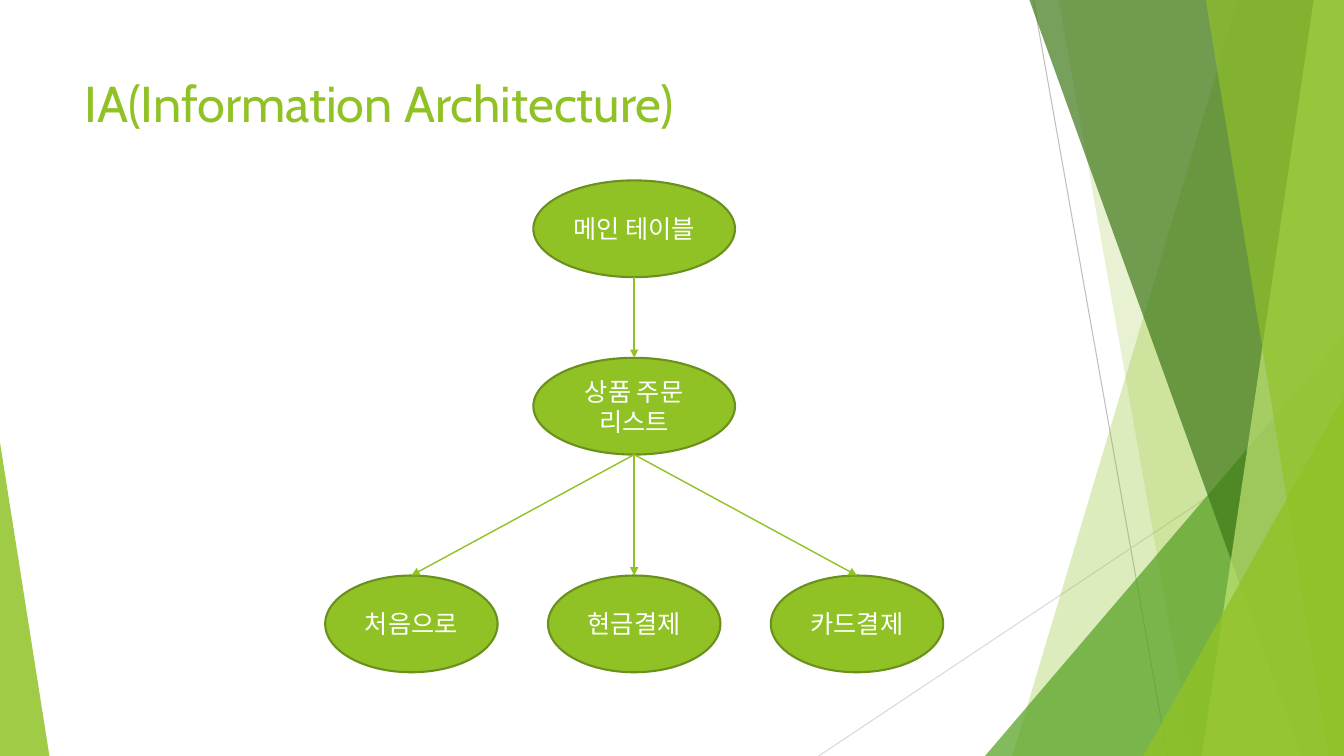
from dataclasses import dataclass

from lxml.etree import SubElement as Sub
from pptx import Presentation
from pptx.dml.color import RGBColor as Rgb
from pptx.enum.shapes import MSO_CONNECTOR as Conn, MSO_SHAPE as Kind
from pptx.enum.text import MSO_ANCHOR as Anchor, PP_ALIGN as Align
from pptx.oxml.ns import qn
from pptx.shapes.autoshape import Shape
from pptx.shapes.connector import Connector
from pptx.slide import Slide
from pptx.text.text import TextFrame
from pptx.util import Inches, Pt

WIDE, HIGH = 13.33, 7.5
FONT = "Cabin"
GREEN, DARK, WHITE = "90C226", "6B901C", "FFFFFF"
MID, TALL = 6.29, 0.96


@dataclass
class Ray:
    start: tuple[float, float]
    end: tuple[float, float]
    tint: str


@dataclass
class Band:
    top: float
    foot: float
    tint: str
    alpha: int


@dataclass
class Wedge:
    left: float
    top: float
    width: float
    peak: int
    tint: str
    alpha: int


@dataclass
class Node:
    name: str
    text: str
    mid: float
    top: float
    width: float
    above: str = ""


RAYS = [
    Ray((10.25, 0), (11.58, HIGH), "BFBFBF"),
    Ray((WIDE, 4.03), (8.12, HIGH), "D9D9D9"),
]
DECOR = [
    Band(12.28, 10.04, GREEN, 30),
    Band(10.5, 11.83, GREEN, 20),
    Wedge(9.77, 3.33, 3.56, 1, "54A021", 72),
    Band(10.21, 12.91, "3F7819", 70),
    Band(13.03, 11.92, "C0E474", 70),
    Band(11.96, 13.18, GREEN, 65),
    Wedge(11.34, 3.93, 1.99, 1, GREEN, 80),
    Wedge(0, 4.39, 0.49, 0, GREEN, 85),
]
STEP = 2.21
NODES = [
    Node("main", "메인 테이블", MID, 1.79, 2),
    Node("list", "상품 주문 리스트", MID, 3.55, 2, "main"),
    Node("home", "처음으로", MID - STEP, 5.71, 1.71, "list"),
    Node("cash", "현금결제", MID, 5.71, 1.71, "list"),
    Node("card", "카드결제", MID + STEP, 5.71, 1.71, "list"),
]


def color(tint: str) -> Rgb:
    return Rgb.from_string(tint)


def paint(shape: Shape, tint: str, alpha: int = 100) -> None:
    shape.shadow.inherit = False
    shape.fill.solid()
    shape.fill.fore_color.rgb = color(tint)
    shape.line.fill.background()
    if alpha < 100:
        fill = shape.fill._xPr.find(qn("a:solidFill"))
        Sub(fill[0], qn("a:alpha"), val=str(alpha * 1000))


def write(frame: TextFrame, text: str, size: int, tint: str, align: Align) -> None:
    frame.word_wrap = True
    para = frame.paragraphs[0]
    para.alignment = align
    run = para.add_run()
    run.text = text
    run.font.size = Pt(size)
    run.font.name = FONT
    run.font.color.rgb = color(tint)


def draw_line(slide: Slide, ray: Ray, width: float) -> Connector:
    ends = [Inches(n) for n in ray.start + ray.end]
    line = slide.shapes.add_connector(Conn.STRAIGHT, *ends)
    line.line.color.rgb = color(ray.tint)
    line.line.width = Pt(width)
    Sub(line._element.spPr, qn("a:effectLst"))
    return line


def draw_band(slide: Slide, band: Band) -> None:
    pen = slide.shapes.build_freeform(Inches(band.top), 0)
    rest = [(WIDE, 0), (WIDE, HIGH), (band.foot, HIGH)]
    pen.add_line_segments([(Inches(x), Inches(y)) for x, y in rest])
    paint(pen.convert_to_shape(), band.tint, band.alpha)


def draw_wedge(slide: Slide, wedge: Wedge) -> None:
    box = (wedge.left, wedge.top, wedge.width, HIGH - wedge.top)
    shape = slide.shapes.add_shape(Kind.ISOSCELES_TRIANGLE, *map(Inches, box))
    shape.adjustments[0] = wedge.peak
    paint(shape, wedge.tint, wedge.alpha)


def draw_node(slide: Slide, node: Node) -> Shape:
    box = (node.mid - node.width / 2, node.top, node.width, TALL)
    shape = slide.shapes.add_shape(Kind.OVAL, *map(Inches, box))
    paint(shape, GREEN)
    shape.line.color.rgb = color(DARK)
    shape.line.width = Pt(1.5)
    shape.text_frame.vertical_anchor = Anchor.MIDDLE
    write(shape.text_frame, node.text, 18, WHITE, Align.CENTER)
    return shape


def link(slide: Slide, above: Shape, below: Shape) -> None:
    line = draw_line(slide, Ray((MID, 0), (MID, 1), GREEN), 1)
    line.begin_connect(above, 2)
    line.end_connect(below, 0)
    line._element.find(".//" + qn("a:stCxn")).set("idx", "4")
    Sub(line.line._get_or_add_ln(), qn("a:tailEnd"), type="triangle")


def main() -> None:
    deck = Presentation()
    deck.slide_width, deck.slide_height = Inches(WIDE), Inches(HIGH)
    slide = deck.slides.add_slide(deck.slide_layouts[6])
    for ray in RAYS:
        draw_line(slide, ray, 0.75)
    for part in DECOR:
        if isinstance(part, Band):
            draw_band(slide, part)
        else:
            draw_wedge(slide, part)
    title = slide.shapes.add_textbox(*map(Inches, (0.74, 0.67, 9.4, 1.44)))
    write(title.text_frame, "IA(Information Architecture)", 36, GREEN, Align.LEFT)
    ovals: dict[str, Shape] = {}
    for node in NODES:
        ovals[node.name] = draw_node(slide, node)
        if node.above:
            link(slide, ovals[node.above], ovals[node.name])
    deck.save("out.pptx")


if __name__ == "__main__":
    main()
